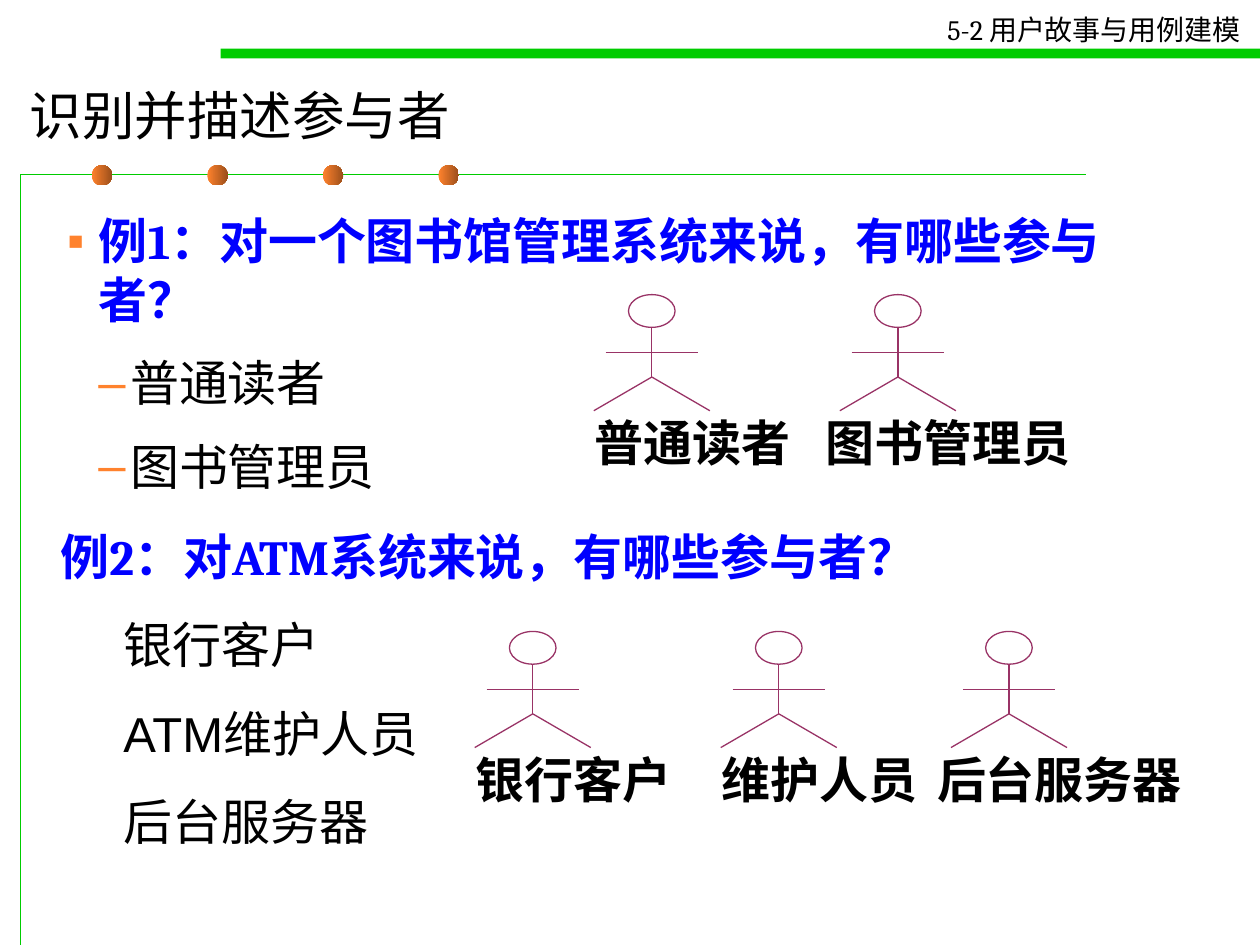
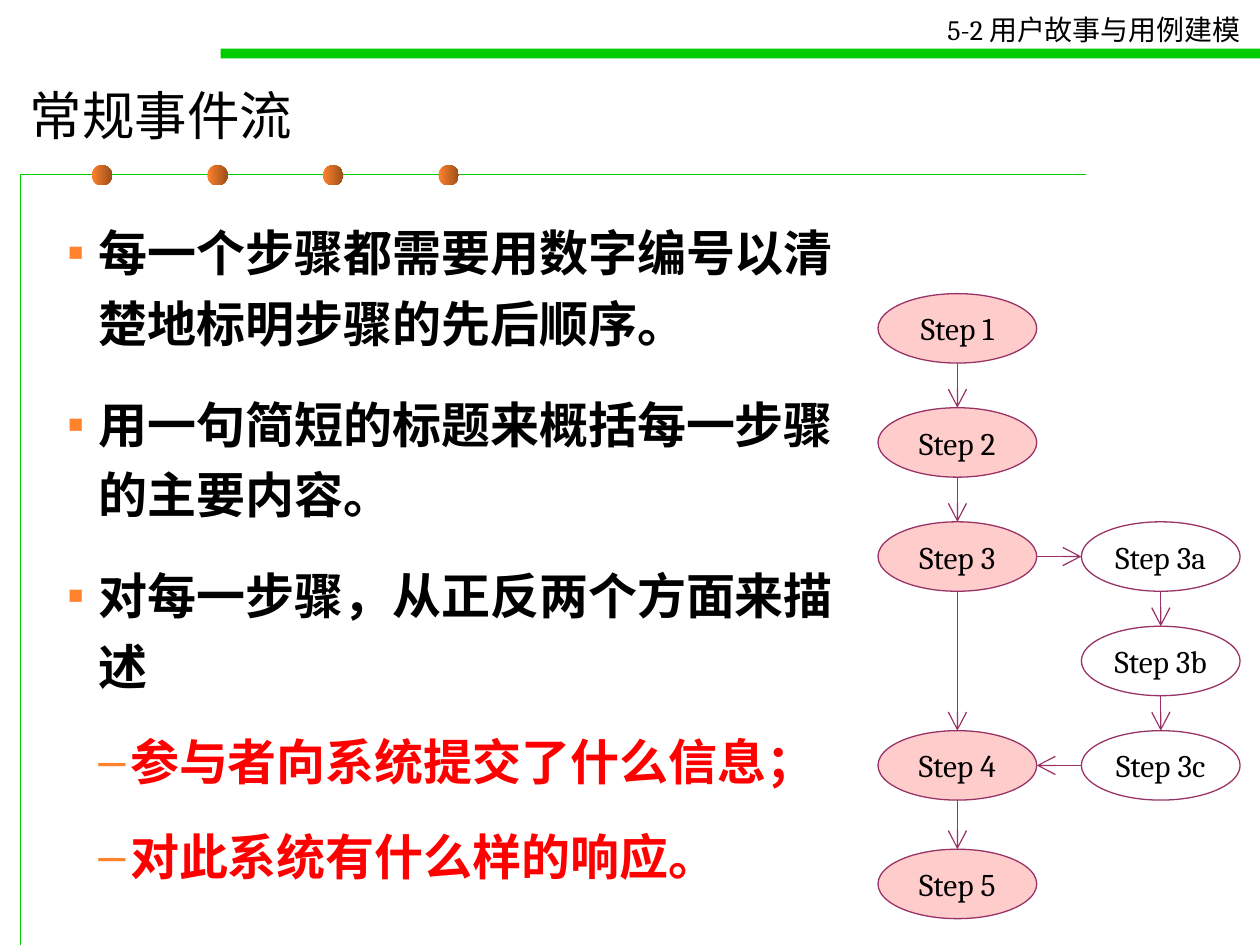
from lxml.etree import SubElement
from pptx import Presentation
from pptx.dml.color import RGBColor
from pptx.enum.shapes import MSO_CONNECTOR, MSO_SHAPE
from pptx.enum.text import MSO_ANCHOR, MSO_AUTO_SIZE, PP_ALIGN
from pptx.oxml.ns import qn
from pptx.util import Cm, Pt

INK = {
    "black": "000000", "white": "FFFFFF", "blue": "0000FF", "red": "FF0000",
    "green": "00CC00", "plum": "993366", "pink": "FFCCCC",
    "orange": "FF822D", "brown": "9B4F1B",
}
SERIF, SANS, LABEL = "Cambria", "Arial", "Cabin"
# Per list level: bullet, left margin (cm), space before (pt)
LEVELS = [("▪", 0.64, 12.2), ("–", 1.27, 8.8)]
STEP_W, STEP_H = 3.2, 1.4


def ink(name):
    return RGBColor.from_string(INK[name])


def area(x, y, w, h):
    return Cm(x), Cm(y), Cm(w), Cm(h)


def place(shape, x, y, w, h):
    shape.left, shape.top, shape.width, shape.height = area(x, y, w, h)


def write(par, text, size, font=SERIF, color="black", bold=False):
    run = par.add_run()
    run.text = text
    run.font.size, run.font.name, run.font.bold = Pt(size), font, bold
    run.font.color.rgb = ink(color)


def next_par(frame, first):
    return frame.paragraphs[0] if first else frame.add_paragraph()


def indent(par, left, hang=0):
    props = par._p.get_or_add_pPr()
    props.set("marL", str(Cm(left)))
    props.set("indent", str(-Cm(hang)))
    return props


def add_line(slide, x1, y1, x2, y2, arrow=False):
    line = slide.shapes.add_connector(
        MSO_CONNECTOR.STRAIGHT, Cm(x1), Cm(y1), Cm(x2), Cm(y2))
    line.line.color.rgb = ink("plum")
    line.line.width = Pt(0.75)
    if arrow:
        SubElement(line.line._get_or_add_ln(), qn("a:tailEnd"),
                   type="arrow", w="lg", len="lg")
    SubElement(line._element.spPr, qn("a:effectLst"))


def add_form(slide, kind, box, fill=None, edge=None):
    form = slide.shapes.add_shape(kind, *area(*box))
    form.shadow.inherit = False
    if fill:
        form.fill.solid()
        form.fill.fore_color.rgb = ink(fill)
    else:
        form.fill.background()
    if edge:
        form.line.color.rgb = ink(edge)
        form.line.width = Pt(0.75)
    else:
        form.line.fill.background()
    return form


def add_text(slide, box, wrap=False, inset=None):
    frame = slide.shapes.add_textbox(*area(*box)).text_frame
    frame.word_wrap = wrap
    frame.auto_size = MSO_AUTO_SIZE.SHAPE_TO_FIT_TEXT
    if inset:
        frame.margin_left = frame.margin_right = Cm(inset[0])
        frame.margin_top = frame.margin_bottom = Cm(inset[1])
    return frame


def add_frame(slide):
    """Draw the green rules, the dots and the chapter header."""
    build = slide.shapes.build_freeform(Cm(0.42), Cm(19.05))
    build.add_line_segments(
        [(Cm(0.42), Cm(3.52)), (Cm(21.9), Cm(3.52))], close=False)
    rule = build.convert_to_shape()
    rule.shadow.inherit = False
    rule.fill.background()
    rule.line.color.rgb = ink("green")
    rule.line.width = Pt(0.75)
    for i in range(4):
        dot = add_form(slide, MSO_SHAPE.OVAL, (1.85 + 2.33 * i, 3.33, 0.41, 0.41))
        dot.fill.gradient()
        dot.fill.gradient_angle = 0
        for stop, name in zip(dot.fill.gradient_stops, ("orange", "brown")):
            stop.color.rgb = ink(name)
    add_form(slide, MSO_SHAPE.RECTANGLE, (4.45, 0.98, 20.95, 0.2), "green")
    head = add_text(slide, (18.85, 0.13, 6.65, 0.94))
    write(head.paragraphs[0], "5-2 用户故事与用例建模", 16)


def new_slide(deck, title):
    slide = deck.slides.add_slide(deck.slide_layouts[1])
    add_frame(slide)
    place(slide.shapes.title, 0.35, 1.4, 23.6, 1.8)
    frame = slide.shapes.title.text_frame
    frame.auto_size = MSO_AUTO_SIZE.NONE
    frame.vertical_anchor = MSO_ANCHOR.MIDDLE
    par = frame.paragraphs[0]
    par.alignment = PP_ALIGN.LEFT
    write(par, title, 30)
    return slide


def fill_body(slide, w, h, items, space=1.0):
    """Fill the body with (level, text, colour, bold) items."""
    body = slide.placeholders[1]
    place(body, 1.1, 4.12, w, h)
    frame = body.text_frame
    frame.auto_size = MSO_AUTO_SIZE.NONE
    for i, (level, text, color, bold) in enumerate(items):
        par = next_par(frame, i == 0)
        mark, left, before = LEVELS[level]
        par.level = level
        props = indent(par, left, 0.64)
        props.set("hangingPunct", "0")
        tint = SubElement(props, qn("a:buClr"))
        SubElement(tint, qn("a:srgbClr"), val=INK["orange"])
        SubElement(props, qn("a:buChar"), char=mark)
        par.line_spacing = space
        par.space_before = Pt(before if i else 0)
        par.space_after = Pt(5.2)
        write(par, text, 28, color=color, bold=bold)


def add_actor(slide, x, y, name):
    """Draw a stick figure centred on x, its head top at y."""
    neck, arm, hip, foot = y + 0.66, y + 1.17, y + 1.66, y + 2.34
    add_form(slide, MSO_SHAPE.OVAL, (x - 0.47, y, 0.94, 0.66), edge="plum")
    add_line(slide, x - 0.93, arm, x + 0.93, arm)
    add_line(slide, x, neck, x, hip)
    for side in (-1, 1):
        add_line(slide, x, hip, x + 1.17 * side, foot)
    count = len(name)
    label = add_text(slide, (x - 0.3 * count, foot, count + 0.2, 1.24),
                     inset=(0.05, 0.03))
    write(label.paragraphs[0], name, 28, LABEL, bold=True)


def add_step(slide, name, x, y, fill):
    form = add_form(slide, MSO_SHAPE.OVAL, (x, y, STEP_W, STEP_H), fill, "plum")
    frame = form.text_frame
    frame.word_wrap = False
    frame.vertical_anchor = MSO_ANCHOR.MIDDLE
    par = frame.paragraphs[0]
    par.alignment = PP_ALIGN.CENTER
    write(par, name, 18)


def add_column(slide, x, fill, steps):
    """Stack the steps and join each one to the next."""
    for name, y in steps:
        add_step(slide, name, x, y, fill)
    mid = x + STEP_W / 2
    for (_, top), (_, low) in zip(steps, steps[1:]):
        add_line(slide, mid, top + STEP_H, mid, low, arrow=True)


def actor_slide(deck):
    slide = new_slide(deck, "识别并描述参与者")
    fill_body(slide, 22.8, 7.39, [
        (0, "例1：对一个图书馆管理系统来说，有哪些参与者？", "blue", True),
        (1, "普通读者", "black", False),
        (1, "图书管理员", "black", False),
    ])
    for x, y, name in [
        (13.14, 5.94, "普通读者"), (18.1, 5.94, "图书管理员"),
        (10.74, 12.73, "银行客户"), (15.7, 12.73, "维护人员"),
        (20.34, 12.73, "后台服务器"),
    ]:
        add_actor(slide, x, y, name)
    frame = add_text(slide, (0.97, 10.49, 21.06, 6.78), wrap=True)
    write(frame.paragraphs[0], "例2：对ATM系统来说，有哪些参与者？", 28,
          color="blue", bold=True)
    for name in ("银行客户", "ATM维护人员", "后台服务器"):
        par = next_par(frame, False)
        par.level = 1
        indent(par, 1.27)
        par.line_spacing = 1.5
        write(par, name, 28, SANS)


def flow_slide(deck):
    slide = new_slide(deck, "常规事件流")
    fill_body(slide, 16.92, 14.2, [
        (0, "每一个步骤都需要用数字编号以清楚地标明步骤的先后顺序。", "black", True),
        (0, "用一句简短的标题来概括每一步骤的主要内容。", "black", True),
        (0, "对每一步骤，从正反两个方面来描述", "black", True),
        (1, "参与者向系统提交了什么信息；", "red", True),
        (1, "对此系统有什么样的响应。", "red", True),
    ], space=1.2)
    main_x, side_x, fork, join = 17.7, 21.8, 10.52, 14.73
    add_column(slide, main_x, "pink", [
        ("Step 1", 5.92), ("Step 2", 8.22), ("Step 3", fork),
        ("Step 4", join), ("Step 5", 17.12)])
    add_column(slide, side_x, "white", [
        ("Step 3a", fork), ("Step 3b", (fork + join) / 2), ("Step 3c", join)])
    edge, half = main_x + STEP_W, STEP_H / 2
    add_line(slide, edge, fork + half, side_x, fork + half, arrow=True)
    add_line(slide, side_x, join + half, edge, join + half, arrow=True)


def main():
    deck = Presentation()
    deck.slide_width, deck.slide_height = Cm(25.4), Cm(19.05)
    actor_slide(deck)
    flow_slide(deck)
    deck.save("out.pptx")


if __name__ == "__main__":
    main()
